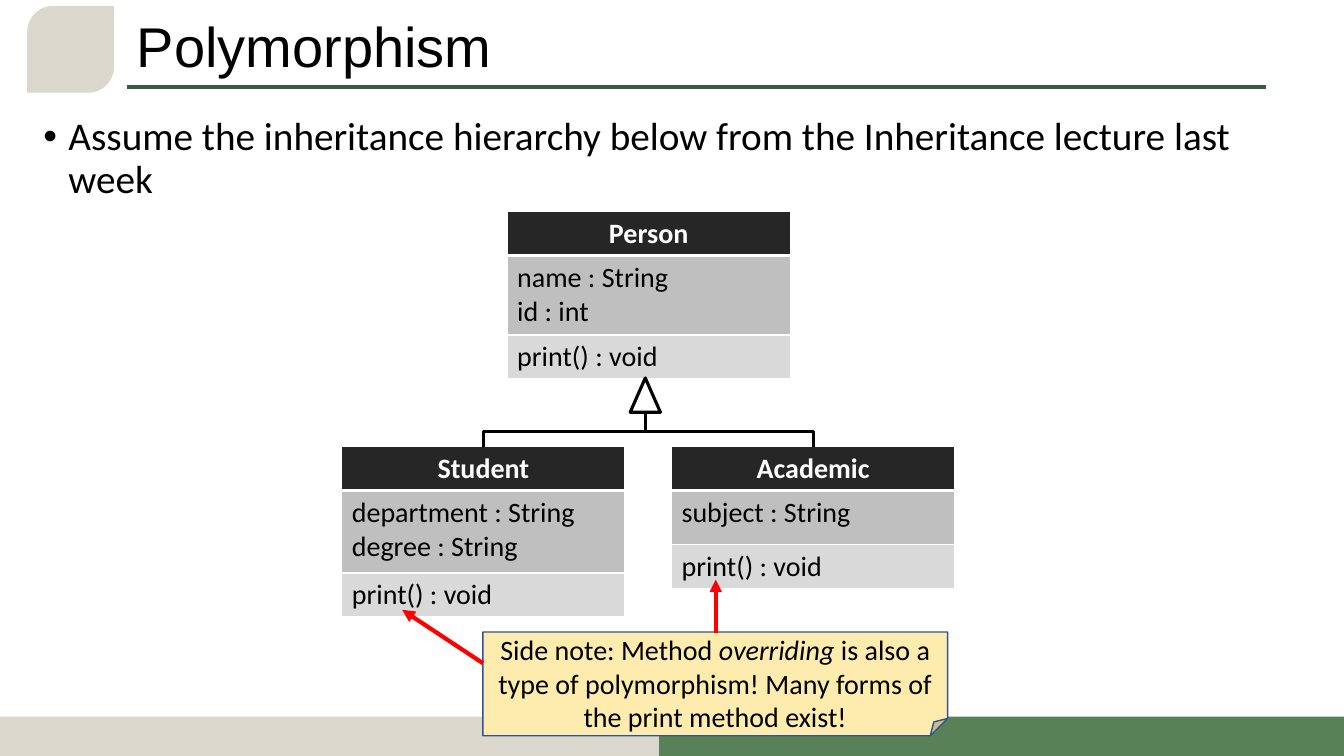
from collections import namedtuple

from lxml import etree
from pptx import Presentation
from pptx import util as u
from pptx.dml.color import RGBColor
from pptx.enum import shapes, text
from pptx.oxml import ns

WIDTH, HEIGHT = u.Inches(13.33), u.Inches(7.5)

BLACK = RGBColor(0x00, 0x00, 0x00)
WHITE = RGBColor(0xFF, 0xFF, 0xFF)
RED = RGBColor(0xFF, 0x00, 0x00)
DARK_GREEN = RGBColor(0x3A, 0x5A, 0x40)
GREEN = RGBColor(0x58, 0x81, 0x57)
SAND = RGBColor(0xDA, 0xD7, 0xCD)
HEADER_GREY = RGBColor(0x26, 0x26, 0x26)
FIELD_GREY = RGBColor(0xBF, 0xBF, 0xBF)
METHOD_GREY = RGBColor(0xD9, 0xD9, 0xD9)
NOTE_YELLOW = RGBColor(0xFD, 0xEC, 0xAD)
NOTE_BLUE = RGBColor(0x32, 0x54, 0x91)

# All boxes are percentages of the slide's width and height
Box = namedtuple("Box", "left top width height")
CLASS_WIDTH = 21.08
LINE_ROW = 5.8


def across(share):
    return int(WIDTH * share / 100)


def down(share):
    return int(HEIGHT * share / 100)


def place(box):
    return across(box.left), down(box.top), across(box.width), down(box.height)


# Drawing helpers
def add_run(paragraph, words, size, font="Calibri", color=BLACK, bold=False, italic=False):
    run = paragraph.add_run()
    run.text = words
    run.font.size = u.Pt(size)
    run.font.name = font
    run.font.color.rgb = color
    run.font.bold = bold
    run.font.italic = italic


def add_block(slide, kind, box, fill, line=None, width=1):
    shape = slide.shapes.add_shape(kind, *place(box))
    shape.shadow.inherit = False
    shape.fill.solid()
    shape.fill.fore_color.rgb = fill
    if line is None:
        shape.line.fill.background()
    else:
        shape.line.color.rgb = line
        shape.line.width = u.Pt(width)
    return shape


def add_line(slide, start, end, color, width, arrow=False):
    line = slide.shapes.add_connector(
        shapes.MSO_CONNECTOR.STRAIGHT,
        across(start[0]), down(start[1]), across(end[0]), down(end[1]))
    line.line.color.rgb = color
    line.line.width = u.Pt(width)
    if arrow:
        etree.SubElement(line.line._get_or_add_ln(), ns.qn("a:tailEnd"), type="triangle")
    etree.SubElement(line._element.spPr, ns.qn("a:effectLst"))


def add_text_box(slide, box, anchor):
    frame = slide.shapes.add_textbox(*place(box)).text_frame
    frame.word_wrap = True
    frame.vertical_anchor = anchor
    paragraph = frame.paragraphs[0]
    paragraph.line_spacing = 0.9
    return paragraph


def set_borders(cell, widths):
    properties = cell._tc.get_or_add_tcPr()
    for index, (side, width) in enumerate(zip("LRTB", widths)):
        border = etree.Element(ns.qn(f"a:ln{side}"), w=str(u.Pt(width)))
        fill = etree.SubElement(border, ns.qn("a:solidFill"))
        etree.SubElement(fill, ns.qn("a:srgbClr"), val=str(WHITE))
        properties.insert(index, border)


# Regions of the slide
def add_heading(slide, box, title):
    add_line(slide, (box.left, 11.47), (94.2, 11.47), DARK_GREEN, 3)
    paragraph = add_text_box(slide, box, text.MSO_ANCHOR.MIDDLE)
    add_run(paragraph, title, 40, "Arial")
    ornament = add_block(slide, shapes.MSO_SHAPE.ROUND_2_DIAG_RECTANGLE,
                         Box(2.03, 0.8, 6.45, 11.47), SAND)
    ornament.adjustments[0] = 0.297
    ornament.adjustments[1] = 0


def add_bullet(slide, box, words):
    paragraph = add_text_box(slide, box, text.MSO_ANCHOR.TOP)
    paragraph.space_before = u.Pt(10)
    properties = paragraph._p.get_or_add_pPr()
    properties.set("marL", str(u.Inches(0.25)))
    properties.set("indent", str(-u.Inches(0.25)))
    etree.SubElement(properties, ns.qn("a:buFont"), typeface="Arial")
    etree.SubElement(properties, ns.qn("a:buChar"), char="•")
    add_run(paragraph, words, 28)


def add_footer(slide, box):
    middle = 49.05
    add_block(slide, shapes.MSO_SHAPE.RECTANGLE, box._replace(width=50), SAND)
    add_block(slide, shapes.MSO_SHAPE.RECTANGLE,
              box._replace(left=middle, width=box.width - middle), GREEN)


def add_class(slide, box, name, fields, methods):
    """The fields row takes what the two single-line rows leave of the box."""
    table = slide.shapes.add_table(3, 1, *place(box)).table
    table.horz_banding = False
    heights = (LINE_ROW, box.height - 2 * LINE_ROW, LINE_ROW)
    fills = (HEADER_GREY, FIELD_GREY, METHOD_GREY)
    for index, lines in enumerate(([name], fields, methods)):
        is_header = index == 0
        table.rows[index].height = down(heights[index])
        cell = table.cell(index, 0)
        cell.fill.solid()
        cell.fill.fore_color.rgb = fills[index]
        set_borders(cell, (1, 1, 3 if index == 1 else 1, 3 if is_header else 1))
        frame = cell.text_frame
        for number, words in enumerate(lines):
            paragraph = frame.add_paragraph() if number else frame.paragraphs[0]
            paragraph.alignment = text.PP_ALIGN.CENTER if is_header else text.PP_ALIGN.LEFT
            add_run(paragraph, words, 20, color=WHITE if is_header else BLACK, bold=is_header)


def add_inheritance(slide, box, children):
    """Hollow arrowhead at the top of the box, forking to the children below."""
    apex, fork, bottom = 48.01, 57.07, box.top + box.height
    head = Box(apex - 1.12, box.top, 2.25, 4.53)
    add_line(slide, (apex, fork), (apex, head.top + head.height), BLACK, 2.25)
    add_block(slide, shapes.MSO_SHAPE.ISOSCELES_TRIANGLE, head, WHITE, BLACK, 2.25)
    left, right = (child.left + child.width / 2 for child in children)
    builder = slide.shapes.build_freeform(across(left), down(bottom))
    builder.add_line_segments(
        [(across(x), down(y)) for x, y in ((left, fork), (right, fork), (right, bottom))],
        close=False)
    branches = builder.convert_to_shape()
    branches.shadow.inherit = False
    branches.fill.background()
    branches.line.color.rgb = BLACK
    branches.line.width = u.Pt(2.25)


def add_side_note(slide, box):
    note = add_block(slide, shapes.MSO_SHAPE.FOLDED_CORNER, box, NOTE_YELLOW, NOTE_BLUE)
    frame = note.text_frame
    frame.word_wrap = True
    frame.vertical_anchor = text.MSO_ANCHOR.MIDDLE
    frame.margin_top = u.Inches(0.2)
    paragraph = frame.paragraphs[0]
    paragraph.alignment = text.PP_ALIGN.CENTER
    add_run(paragraph, "Side note: Method ", 20)
    add_run(paragraph, "overriding ", 20, italic=True)
    add_run(paragraph, "is also a type of polymorphism! "
                       "Many forms of the print method exist!", 20)
    # Arrows to the overriding methods
    add_line(slide, (box.left, box.top + 4.13), (29.93, 80.67), RED, 3, arrow=True)
    add_line(slide, (53.26, box.top + 0.13), (53.26, 76.67), RED, 3, arrow=True)


def main():
    presentation = Presentation()
    presentation.slide_width, presentation.slide_height = WIDTH, HEIGHT
    slide = presentation.slides.add_slide(presentation.slide_layouts[6])

    add_heading(slide, Box(9.45, 1.73, 90.55, 9.6), "Polymorphism")
    add_bullet(slide, Box(2.48, 14.8, 92.95, 71.07),
               "Assume the inheritance hierarchy below from the Inheritance lecture last week")
    add_footer(slide, Box(0, 94.8, 100, 5.2))

    # Class diagram
    person = Box(37.73, 28, CLASS_WIDTH, 22.13)
    student = Box(25.43, 59.07, CLASS_WIDTH, 22.53)
    academic = Box(49.96, 59.07, CLASS_WIDTH, 18.8)
    methods = ["print() : void"]
    add_class(slide, person, "Person", ["name : String", "id : int"], methods)
    add_class(slide, student, "Student", ["department : String", "degree : String"], methods)
    add_class(slide, academic, "Academic", ["subject : String"], methods)
    add_inheritance(slide, Box(student.left, 50, 45.61, 9.07), (student, academic))

    add_side_note(slide, Box(35.93, 83.6, 34.58, 13.73))
    presentation.save("out.pptx")


if __name__ == "__main__":
    main()
